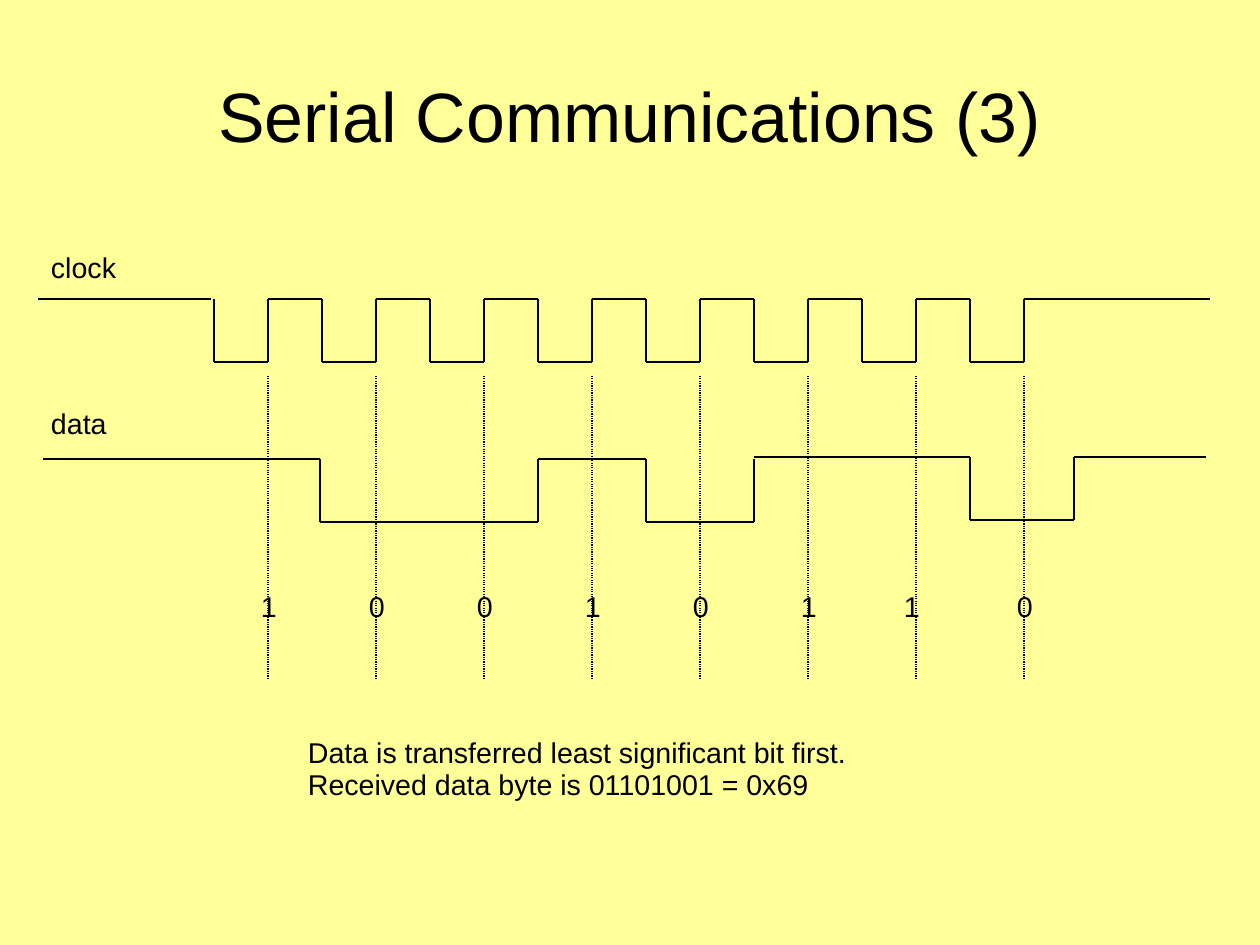
from itertools import pairwise

from lxml.etree import SubElement
from pptx import Presentation
from pptx.dml.color import RGBColor
from pptx.enum.dml import MSO_LINE_DASH_STYLE as Dash
from pptx.enum.shapes import MSO_CONNECTOR_TYPE as Connector
from pptx.enum.text import MSO_VERTICAL_ANCHOR as Anchor, PP_PARAGRAPH_ALIGNMENT as Align
from pptx.oxml.ns import qn
from pptx.util import Pt

EMU_PER_PX = 8000
COLORS = {"background": "FFFF99", "ink": "000000"}


def px(length):
    return length * EMU_PER_PX


def color(name):
    return RGBColor.from_string(COLORS[name])


def write(frame, text, size=18, align=Align.LEFT, anchor=Anchor.TOP, insets=(11, 7, 11, 6)):
    frame.word_wrap = True
    frame.vertical_anchor = anchor
    frame.margin_left, frame.margin_top, frame.margin_right, frame.margin_bottom = map(px, insets)
    for index, words in enumerate(text.split("\n")):
        para = frame.add_paragraph() if index else frame.paragraphs[0]
        para.alignment = align
        para.line_spacing = 0.93
        span = para.add_run()
        span.text = words
        span.font.name = "Arial"
        span.font.size = Pt(size)
        span.font.color.rgb = color("ink")


class TimingSlide:
    def __init__(self, page):
        self.page = page
        page.background.fill.solid()
        page.background.fill.fore_color.rgb = color("background")

    def label(self, text, left, top, width, height, **style):
        box = self.page.shapes.add_textbox(px(left), px(top), px(width), px(height))
        write(box.text_frame, text, **style)

    def line(self, start, end, dash=None):
        stroke = self.page.shapes.add_connector(Connector.STRAIGHT, *map(px, start + end))
        stroke.line.color.rgb = color("ink")
        stroke.line.width = Pt(0.75)
        if dash:
            stroke.line.dash_style = dash
        SubElement(stroke.element.spPr, qn("a:effectLst"))

    def wave(self, points):
        for start, end in pairwise(points):
            self.line(start, end)


def main():
    deck = Presentation()
    deck.slide_width, deck.slide_height = px(1260), px(945)
    slide = TimingSlide(deck.slides.add_slide(deck.slide_layouts[6]))

    slide.label("Serial Communications (3)", 63, 38, 1134, 158, size=44,
                align=Align.CENTER, anchor=Anchor.MIDDLE, insets=(0, 5, 0, 0))
    slide.label("clock", 40, 246, 104, 43)
    slide.label("data", 40, 402, 104, 43)

    bits = "10010110"
    period = 108
    falls = [214 + period * index for index in range(len(bits))]
    rises = [fall + period // 2 for fall in falls]
    bit_lefts = [rise - 18 for rise in rises]
    bit_lefts[6] -= 5

    high, low = 299, 362
    clock = []
    for fall, rise in zip(falls, rises):
        clock += [(fall, high), (fall, low), (rise, low), (rise, high)]
    slide.wave([(38, high), (211, high)])
    slide.wave(clock + [(1210, high)])

    for rise in rises:
        slide.line((rise, 376), (rise, 678), dash=Dash.ROUND_DOT)

    slide.wave([(43, 459), (320, 459), (320, 522), (538, 522), (538, 459),
                (646, 459), (646, 522), (754, 522), (754, 459)])
    slide.wave([(754, 457), (970, 457), (970, 520), (1074, 520), (1074, 457), (1206, 457)])

    for bit, left in zip(bits, bit_lefts):
        slide.label(bit, left, 585, 45, 43)

    slide.label("Data is transferred least significant bit first.\n"
                "Received data byte is 01101001 = 0x69", 297, 731, 574, 75)
    deck.save("out.pptx")


if __name__ == "__main__":
    main()
